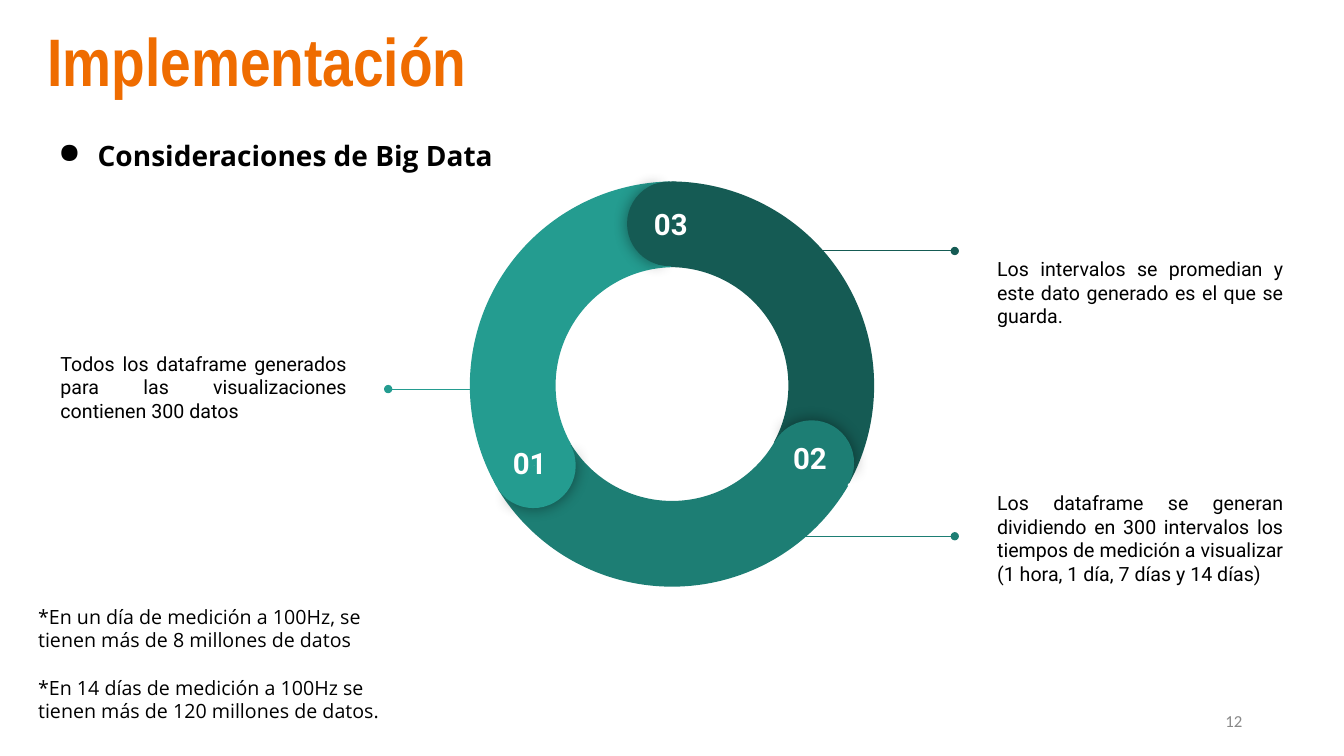
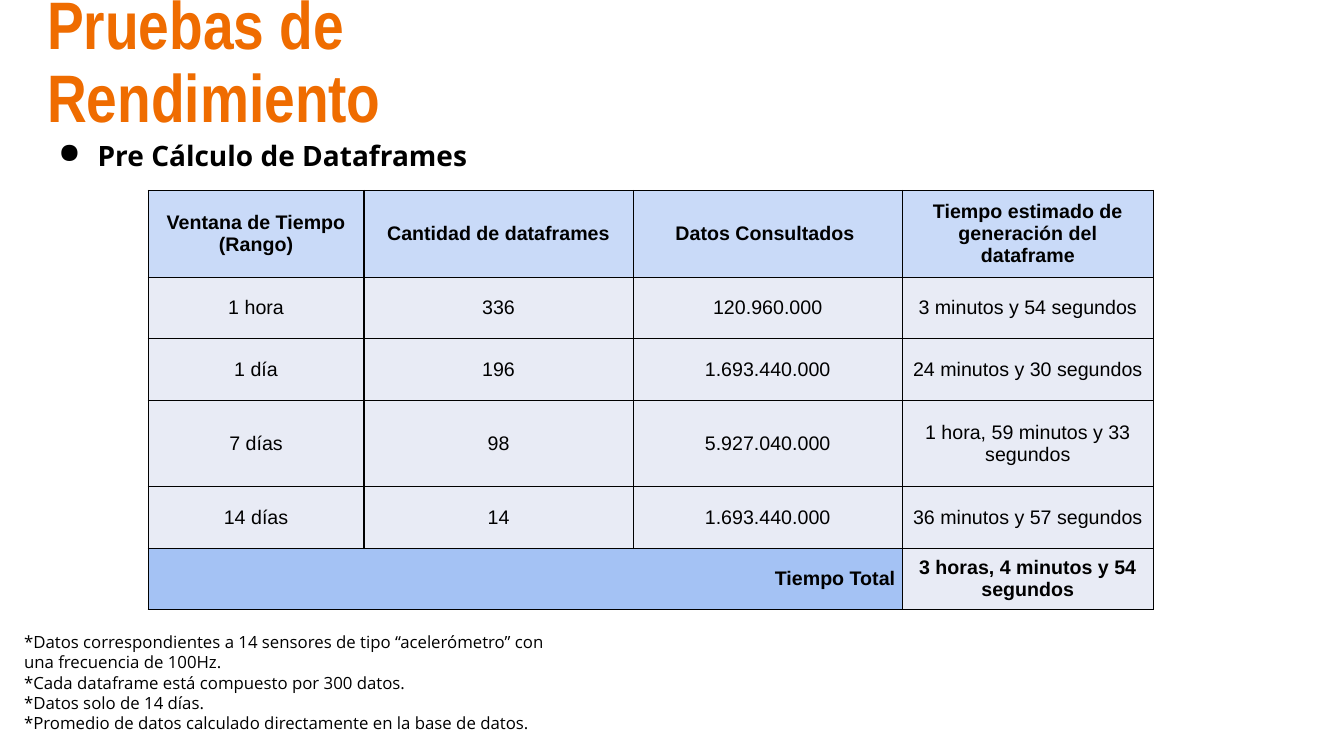
from lxml import etree
from pptx import Presentation
from pptx.dml.color import RGBColor
from pptx.enum.shapes import MSO_CONNECTOR, MSO_SHAPE
from pptx.enum.text import MSO_ANCHOR, PP_ALIGN
from pptx.oxml import parse_xml
from pptx.oxml.ns import nsdecls, qn
from pptx.util import Pt

LEFT, CENTER, RIGHT, JUSTIFY = PP_ALIGN.LEFT, PP_ALIGN.CENTER, PP_ALIGN.RIGHT, PP_ALIGN.JUSTIFY
TOP, MIDDLE = MSO_ANCHOR.TOP, MSO_ANCHOR.MIDDLE
BLOCK_ARC, PIE = MSO_SHAPE.BLOCK_ARC, MSO_SHAPE.PIE
STRAIGHT = MSO_CONNECTOR.STRAIGHT

PX = 9144  # 100 px to the inch
color = RGBColor.from_string

ORANGE, BLACK, WHITE, GREY = "EF6C00", "000000", "FFFFFF", "888888"
LIGHT_TEAL, MID_TEAL, DARK_TEAL = "249C90", "1D7E74", "155B54"
HEADER_BLUE, TOTAL_BLUE, ROW_LILAC = "C9DAF8", "A4C2F4", "E8EBF5"


def write(frame, lines, size, font, ink=BLACK, bold=False, align=LEFT):
    for i, line in enumerate(lines):
        paragraph = frame.paragraphs[0] if i == 0 else frame.add_paragraph()
        paragraph.alignment = align
        run = paragraph.add_run()
        run.text = line
        run.font.size, run.font.name, run.font.bold = Pt(size), font, bold
        run.font.color.rgb = color(ink)


def add_text(slide, box, lines, size, font, inset=(10, 10), anchor=TOP, **style):
    frame = slide.shapes.add_textbox(*(n * PX for n in box)).text_frame
    frame.word_wrap = True
    frame.vertical_anchor = anchor
    frame.margin_left = frame.margin_right = inset[0] * PX
    frame.margin_top = frame.margin_bottom = inset[1] * PX
    write(frame, lines, size, font, **style)
    return frame


prs = Presentation()
prs.slide_width, prs.slide_height = 1333 * PX, 750 * PX

# Shared title and bulleted subtitle
slides = []
for title, title_width, subtitle, subtitle_width in [
    ("Implementación", 510, "Consideraciones de Big Data", 510),
    ("Pruebas de Rendimiento", 618, "Pre Cálculo de Dataframes", 599),
]:
    slide = prs.slides.add_slide(prs.slide_layouts[6])
    slides.append(slide)
    heading = add_text(slide, (37, 14, title_width, 100), [title], 48, "Arial Narrow",
                       inset=(10, 5), anchor=MIDDLE, ink=ORANGE, bold=True)
    heading.paragraphs[0].line_spacing = 0.9
    topic = add_text(slide, (37, 127, subtitle_width, 62), [subtitle], 20, "Open Sans", bold=True)
    bullet = topic.paragraphs[0]._p.get_or_add_pPr()
    bullet.set("marL", str(50 * PX))
    bullet.set("indent", str(-39 * PX))
    bullet_color = etree.SubElement(bullet, qn("a:buClr"))
    etree.SubElement(bullet_color, qn("a:srgbClr"), val=BLACK)
    etree.SubElement(bullet, qn("a:buChar"), char="●")

big_data, performance = slides

# Big Data: slide number
add_text(big_data, (942, 695, 300, 40), ["12"], 12, "Calibri",
         inset=(10, 5), anchor=MIDDLE, ink=GREY, align=RIGHT)

# Big Data: explanations with their leader lines
explanations = [
    ("Todos los dataframe generados para las visualizaciones contienen 300 datos",
     47, 290, 13, LIGHT_TEAL, 478, 385, 386),
    ("Los intervalos se promedian y este dato generado es el que se guarda.",
     976, 206, 33, DARK_TEAL, 760, 947, 249),
    ("Los dataframe se generan dividiendo en 300 intervalos los tiempos de medición "
     "a visualizar (1 hora, 1 día, 7 días y 14 días)",
     976, 440, 13, MID_TEAL, 760, 947, 532),
]
for text, left, top, bottom_inset, teal, ring_x, dot_x, leader_y in explanations:
    explanation = add_text(big_data, (left, top, 310, 188), [text], 14, "Roboto",
                           inset=(13, 13), anchor=MIDDLE, align=JUSTIFY)
    explanation.margin_bottom = bottom_inset * PX
    leader = big_data.shapes.add_connector(
        STRAIGHT, ring_x * PX, leader_y * PX, dot_x * PX, leader_y * PX)
    leader.line.color.rgb = color(teal)
    leader.line.width = Pt(0.75)
    etree.SubElement(leader.line._get_or_add_ln(), qn("a:tailEnd"), type="oval")
    etree.SubElement(leader._element.spPr, qn("a:effectLst"))

# Big Data: ring segments, then a round cap in two halves (the first one shaded)
RING, CAP = 405, 84
SEGMENT_ANGLES = (126.23, 197.2, 0.21)
SHADED_ANGLES, PLAIN_ANGLES = (61.9, 149.96), (40.28, 171.84)
ring_parts = [
    (BLOCK_ARC, 462, 180, RING, 60, SEGMENT_ANGLES, DARK_TEAL),
    (BLOCK_ARC, 464, 177, RING, 180, SEGMENT_ANGLES, MID_TEAL),
    (BLOCK_ARC, 466, 180, RING, 300, SEGMENT_ANGLES, LIGHT_TEAL),
]
for left, top, turn, teal in [
    (487, 420, 240, LIGHT_TEAL), (622, 180, 0, DARK_TEAL), (763, 417, 120, MID_TEAL),
]:
    ring_parts.append((PIE, left, top, CAP, turn + 0.6, SHADED_ANGLES, teal))
    ring_parts.append((PIE, left, top, CAP, (turn + 180) % 360, PLAIN_ANGLES, teal))

for preset, left, top, size, turn, angles, teal in ring_parts:
    part = big_data.shapes.add_shape(preset, left * PX, top * PX, size * PX, size * PX)
    part.rotation = turn
    for i, angle in enumerate(angles):
        part.adjustments[i] = angle
    part.fill.solid()
    part.fill.fore_color.rgb = color(teal)
    part.line.fill.background()
    part.shadow.inherit = False
    if angles == SHADED_ANGLES:
        effects = part._element.spPr.find(qn("a:effectLst"))
        shade = etree.SubElement(effects, qn("a:outerShdw"), blurRad=str(Pt(11.2)),
                                 dist="0", dir="0", algn="ctr", rotWithShape="0")
        shade_color = etree.SubElement(shade, qn("a:srgbClr"), val=BLACK)
        etree.SubElement(shade_color, qn("a:alpha"), val="43000")

for number, left, top in [("03 ", 632, 191), ("01 ", 492, 429), ("02 ", 770, 424)]:
    add_text(big_data, (left, top, 74, 39), [number], 21, "Roboto",
             inset=(13, 13), ink=WHITE, bold=True, align=CENTER)

# Big Data: footnotes
volume_notes = add_text(big_data, (28, 590, 387, 145), [
    "*En un día de medición a 100Hz, se tienen más de 8 millones de datos",
    "*En 14 días de medición a 100Hz se tienen más de 120 millones de datos.",
], 14, "Open Sans")
volume_notes.paragraphs[1].space_before = Pt(17)

# Performance: table of generation times
rows = [
    ["Ventana de Tiempo\n(Rango)", "Cantidad de dataframes", "Datos Consultados ",
     "Tiempo estimado de generación del dataframe"],
    ["1 hora", "336", "120.960.000", "3 minutos y 54 segundos"],
    ["1 día", "196", "1.693.440.000", "24 minutos y 30 segundos"],
    ["7 días", "98", "5.927.040.000", "1 hora, 59 minutos y 33 segundos"],
    ["14 días", "14", "1.693.440.000", "36 minutos y 57 segundos"],
    ["Tiempo Total", "", "", "3 horas, 4 minutos y 54 segundos"],
]
column_widths = [214, 267, 267, 249]
row_heights = [86, 61, 61, 86, 61, 61]
last = len(rows) - 1
times = performance.shapes.add_table(
    len(rows), len(column_widths), 147 * PX, 189 * PX,
    sum(column_widths) * PX, sum(row_heights) * PX).table
for column, width in zip(times.columns, column_widths):
    column.width = width * PX
for row, height in zip(times.rows, row_heights):
    row.height = height * PX

for r, row in enumerate(rows):
    for c, text in enumerate(row):
        cell = times.cell(r, c)
        is_total_label = r == last and c < 3
        cell.vertical_anchor = MIDDLE
        cell.margin_left = cell.margin_right = cell.margin_top = cell.margin_bottom = 7 * PX
        if text:
            write(cell.text_frame, text.split("\n"), 14, "Arial", bold=r in (0, last),
                  align=RIGHT if is_total_label else CENTER)
        cell.fill.solid()
        cell.fill.fore_color.rgb = color(
            HEADER_BLUE if r == 0 else TOTAL_BLUE if is_total_label else ROW_LILAC)
        for i, side in enumerate(("lnL", "lnR", "lnT", "lnB")):
            cell._tc.get_or_add_tcPr().insert(i, parse_xml(
                f'<a:{side} {nsdecls("a")} w="{Pt(1)}"><a:solidFill>'
                f'<a:srgbClr val="{BLACK}"/></a:solidFill></a:{side}>'))
times.cell(last, 0).merge(times.cell(last, 2))

# Performance: footnotes
add_text(performance, (14, 617, 555, 123), [
    "*Datos correspondientes a 14 sensores de tipo “acelerómetro” con una frecuencia de 100Hz.",
    "*Cada dataframe está compuesto por 300 datos.",
    "*Datos solo de 14 días.",
    "*Promedio de datos calculado directamente en la base de datos.",
], 12, "Open Sans")

prs.save("out.pptx")
